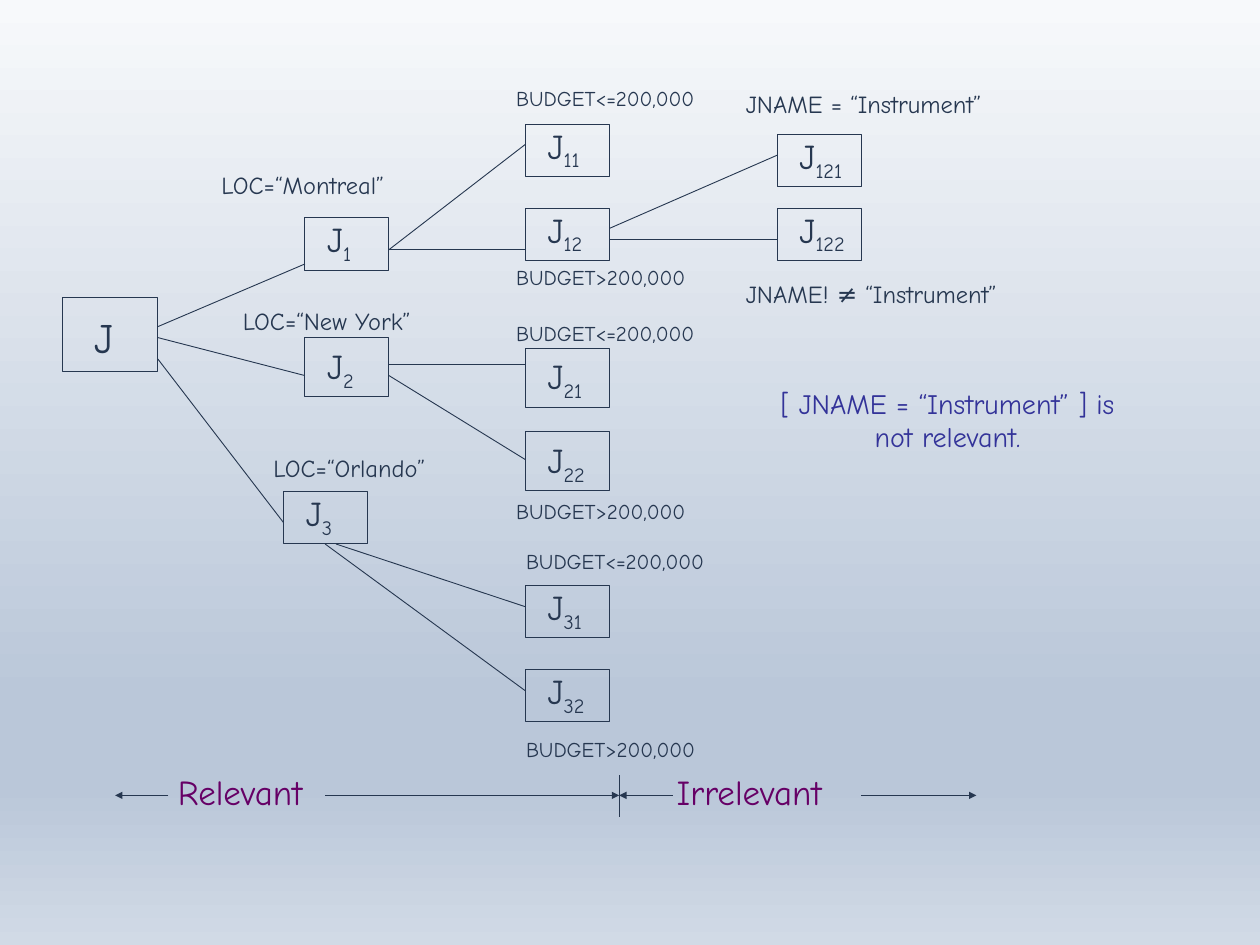
from dataclasses import dataclass
from typing import Optional

from lxml import etree
from pptx import Presentation
from pptx.dml.color import RGBColor
from pptx.enum.shapes import MSO_CONNECTOR, MSO_SHAPE
from pptx.enum.text import MSO_ANCHOR, PP_ALIGN
from pptx.oxml.ns import qn
from pptx.slide import Slide
from pptx.util import Cm, Pt

RECTANGLE = MSO_SHAPE.RECTANGLE
STRAIGHT = MSO_CONNECTOR.STRAIGHT
BOTTOM, TOP = MSO_ANCHOR.BOTTOM, MSO_ANCHOR.TOP
LEFT, CENTER = PP_ALIGN.LEFT, PP_ALIGN.CENTER

FONT = "Comic Neue"
COLORS = {"ink": "263750", "note": "333399", "section": "660066"}
BACKGROUND_STOPS = [(0, "F7F9FB"), (74, "BAC7D9"), (83, "BAC7D9"), (100, "D1DAE6")]
CONDITION_SIZE, BUDGET_SIZE, NOTE_SIZE, SECTION_SIZE = 19.9, 17.1, 22.8, 28.4
UP_TO, OVER = "BUDGET<=200,000", "BUDGET>200,000"


@dataclass
class Node:
    """A fragment box; all lengths on this slide are in centimetres."""
    index: str
    left: float
    top: float
    height: float = 1.5
    width: float = 2.41
    size: float = 28.4
    indent: float = 0.64
    bottom_inset: float = 0.13


@dataclass
class Branch:
    """Runs from the parent's right edge, or from leave_x, to the child's left edge."""
    parent: str
    child: str
    leave_y: float
    arrive_y: float
    leave_x: Optional[float] = None


@dataclass
class Label:
    text: str
    left: float
    top: float
    width: float
    height: float
    size: float
    color: str = "ink"
    align: PP_ALIGN = LEFT


SECOND, THIRD, FOURTH = 8.74, 15.06, 22.28
NODES = [
    Node("", 1.8, 8.53, 2.11, 2.72, size=34.1, indent=0.9, bottom_inset=0.25),
    Node("1", SECOND, 6.25),
    Node("2", SECOND, 9.68, 1.7),
    Node("3", 8.13, 14.1),
    Node("11", THIRD, 3.56),
    Node("12", THIRD, 5.97),
    Node("21", THIRD, 9.98, 1.7),
    Node("22", THIRD, 12.37, 1.7),
    Node("31", THIRD, 16.79),
    Node("32", THIRD, 19.2),
    Node("121", FOURTH, 3.86),
    Node("122", FOURTH, 5.97),
]

BRANCHES = [
    Branch("", "1", 9.37, 7.57),
    Branch("", "2", 9.68, 10.77),
    Branch("", "3", 10.29, 14.99),
    Branch("1", "11", 7.16, 4.14),
    Branch("1", "12", 7.16, 7.16),
    Branch("12", "121", 6.55, 4.45),
    Branch("12", "122", 6.86, 6.86),
    Branch("2", "21", 10.46, 10.46),
    Branch("2", "22", 10.77, 13.18),
    Branch("3", "31", 15.6, 17.4, leave_x=9.63),
    Branch("3", "32", 15.6, 19.81, leave_x=9.32),
]

BUDGETS = [(UP_TO, 14.55, 2.34), (OVER, 14.55, 7.47), (UP_TO, 14.55, 9.07),
           (OVER, 14.55, 14.17), (UP_TO, 14.83, 15.6), (OVER, 14.83, 21.01)]
LABELS = [
    Label("LOC=“Montreal”", 6.1, 4.75, 5.82, 1.12, CONDITION_SIZE),
    Label("LOC=“New York”", 6.71, 8.66, 6.02, 1.12, CONDITION_SIZE),
    Label("LOC=“Orlando”", 7.59, 12.88, 5.46, 1.12, CONDITION_SIZE),
    Label("JNAME = “Instrument”", 21.13, 2.44, 8.28, 1.12, CONDITION_SIZE),
    Label("JNAME! ≠ “Instrument”", 21.13, 7.87, 8.48, 1.12, CONDITION_SIZE),
    *(Label(text, left, top, 5.92, 0.99, BUDGET_SIZE) for text, left, top in BUDGETS),
    Label("[ JNAME = “Instrument” ] is not relevant.", 21.87, 10.95, 10.59, 2.21,
          NOTE_SIZE, "note", CENTER),
    Label("Relevant", 4.85, 21.97, 4.55, 1.47, SECTION_SIZE, "section"),
    Label("Irrelevant", 19.15, 21.97, 5.44, 1.47, SECTION_SIZE, "section"),
]

AXIS_Y, DIVIDER_X = 22.81, 17.75
ARROWS = [(4.83, 3.3), (9.32, DIVIDER_X), (19.28, DIVIDER_X), (24.69, 27.99)]


def rgb(name: str) -> RGBColor:
    return RGBColor.from_string(COLORS[name])


def paint_background(page: Slide) -> None:
    fill = page.background.fill
    fill.gradient()
    fill.gradient_angle = 270
    stops = page.element.find(".//" + qn("a:gsLst"))
    for stop in list(stops):
        stops.remove(stop)
    for percent, color in BACKGROUND_STOPS:
        stop = etree.SubElement(stops, qn("a:gs"), pos=str(percent * 1000))
        etree.SubElement(stop, qn("a:srgbClr"), val=color)


def add_span(para, text: str, size: float, color: str, subscript: bool = False) -> None:
    span = para.add_run()
    span.text = text
    span.font.name = FONT
    span.font.size = Pt(size)
    span.font.color.rgb = rgb(color)
    if subscript:
        span.font._element.set("baseline", "-25000")


def draw_line(page: Slide, x1: float, y1: float, x2: float, y2: float,
              arrow: bool = False) -> None:
    line = page.shapes.add_connector(STRAIGHT, Cm(x1), Cm(y1), Cm(x2), Cm(y2))
    line.line.color.rgb = rgb("ink")
    line.line.width = Pt(0.75)
    if arrow:
        etree.SubElement(line.line._get_or_add_ln(), qn("a:tailEnd"), type="triangle")
    etree.SubElement(line._element.spPr, qn("a:effectLst"))


def draw_node(page: Slide, node: Node) -> None:
    box = page.shapes.add_shape(RECTANGLE, Cm(node.left), Cm(node.top),
                                Cm(node.width), Cm(node.height))
    box.shadow.inherit = False
    box.fill.background()
    box.line.color.rgb = rgb("ink")
    box.line.width = Pt(0.75)
    frame = box.text_frame
    frame.word_wrap = True
    frame.vertical_anchor = BOTTOM
    frame.margin_left, frame.margin_right = Cm(node.indent), Cm(0)
    frame.margin_top, frame.margin_bottom = Cm(0), Cm(node.bottom_inset)
    para = frame.paragraphs[0]
    para.alignment = LEFT
    add_span(para, "J", node.size, "ink")
    if node.index:
        add_span(para, node.index, node.size, "ink", subscript=True)


def draw_branch(page: Slide, branch: Branch, nodes: dict[str, Node]) -> None:
    parent = nodes[branch.parent]
    leave_x = branch.leave_x or parent.left + parent.width
    draw_line(page, leave_x, branch.leave_y, nodes[branch.child].left, branch.arrive_y)


def draw_label(page: Slide, label: Label) -> None:
    box = page.shapes.add_textbox(Cm(label.left), Cm(label.top),
                                  Cm(label.width), Cm(label.height))
    frame = box.text_frame
    frame.word_wrap = True
    frame.vertical_anchor = TOP
    para = frame.paragraphs[0]
    para.alignment = label.align
    add_span(para, label.text, label.size, label.color)


def main() -> None:
    deck = Presentation()
    deck.slide_width, deck.slide_height = Cm(36.12), Cm(27.1)
    page = deck.slides.add_slide(deck.slide_layouts[6])
    paint_background(page)
    nodes = {node.index: node for node in NODES}
    for branch in BRANCHES:
        draw_branch(page, branch, nodes)
    for node in NODES:
        draw_node(page, node)
    for label in LABELS:
        draw_label(page, label)
    for start, end in ARROWS:
        draw_line(page, start, AXIS_Y, end, AXIS_Y, arrow=True)
    draw_line(page, DIVIDER_X, 22.23, DIVIDER_X, 23.42)
    deck.save("out.pptx")


if __name__ == "__main__":
    main()
